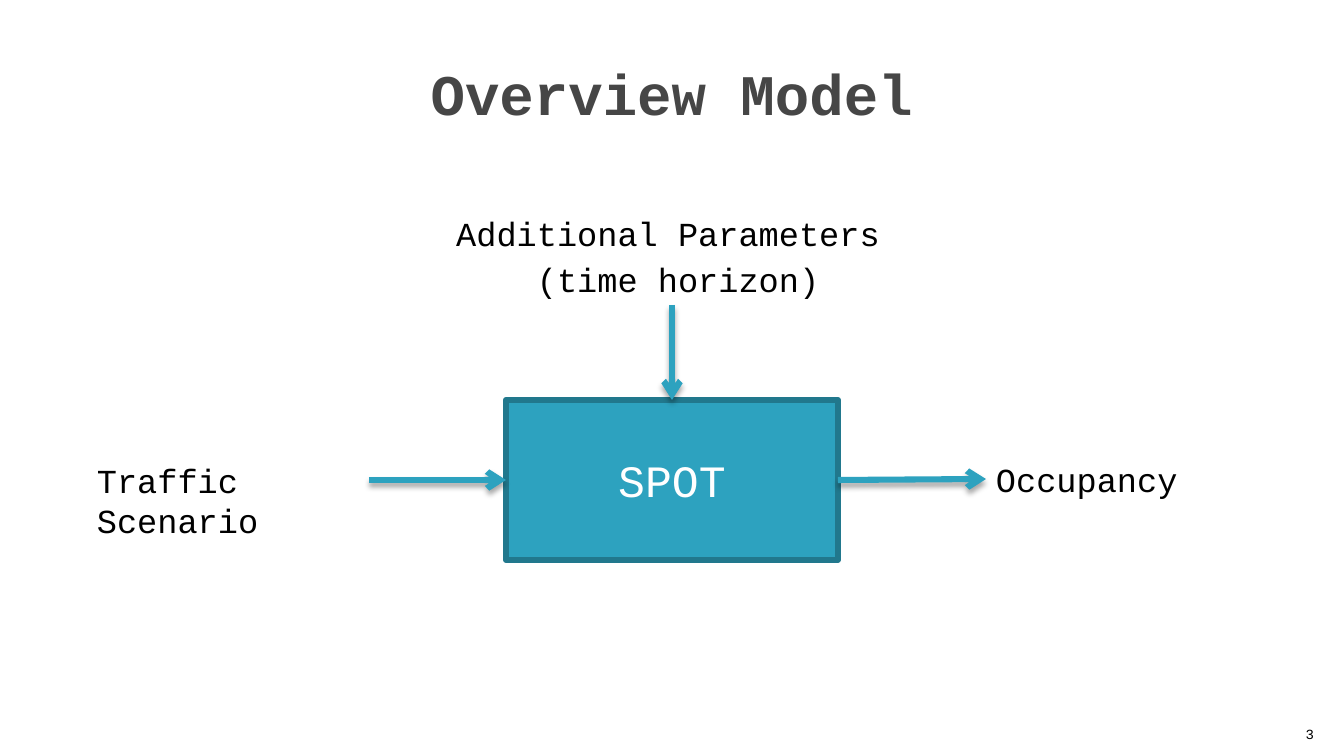
"""Build the Overview Model slide: inputs and output of the SPOT block."""
from dataclasses import dataclass

from lxml import etree
from pptx import Presentation
from pptx.dml.color import RGBColor
from pptx.enum.shapes import MSO_CONNECTOR, MSO_SHAPE
from pptx.enum.text import MSO_ANCHOR, MSO_AUTO_SIZE, PP_ALIGN
from pptx.oxml.ns import qn
from pptx.util import Pt

TITLE = "Overview Model"
PARAMETERS = ["Additional Parameters ", "(time horizon)"]
BLOCK = "SPOT"
SCENARIO = "Traffic Scenario"
OCCUPANCY = "Occupancy"
PAGE_NUMBER = "3"

BOXES = {
    "title": (67, 30, 1210, 126),
    "parameters": (371, 208, 602, 97),
    "block": (506, 400, 332, 160),
    "scenario": (87, 455, 282, 50),
    "occupancy": (986, 454, 221, 50),
    "page": (1271, 707, 53, 40),
}
SLIDE_SIZE = (1344, 756)
PARAMETERS_MARGIN = 12
EMU_PER_PX = 914400 / 100.8

LEFT, CENTER, RIGHT = PP_ALIGN.LEFT, PP_ALIGN.CENTER, PP_ALIGN.RIGHT
TOP, MIDDLE, BOTTOM = MSO_ANCHOR.TOP, MSO_ANCHOR.MIDDLE, MSO_ANCHOR.BOTTOM
NO_AUTOFIT = MSO_AUTO_SIZE.NONE
STRAIGHT = MSO_CONNECTOR.STRAIGHT
RECTANGLE = MSO_SHAPE.RECTANGLE
SIDE_TOP, SIDE_LEFT, SIDE_BOTTOM, SIDE_RIGHT = range(4)


@dataclass(frozen=True)
class Theme:
    font: str = "Courier New"
    title: str = "464646"
    text: str = "000000"
    inverse: str = "FFFFFF"
    accent: str = "2DA2BF"
    border: str = "21788D"
    title_size: int = 41
    block_size: int = 32
    label_size: int = 24
    page_size: int = 10
    line_width: float = 4.33


THEME = Theme()


def px(length):
    return round(length * EMU_PER_PX)


def place(shape, name):
    shape.left, shape.top, shape.width, shape.height = map(px, BOXES[name])


def write(shape, lines, size, color, align=LEFT, anchor=TOP, bold=False):
    frame = shape.text_frame
    frame.text = "\n".join(lines)
    frame.word_wrap = True
    frame.auto_size = NO_AUTOFIT
    frame.vertical_anchor = anchor
    for paragraph in frame.paragraphs:
        paragraph.alignment = align
        for run in paragraph.runs:
            run.font.name = THEME.font
            run.font.size = Pt(size)
            run.font.bold = bold
            run.font.color.rgb = RGBColor.from_string(color)


def add_label(slide, name, text, size, align=LEFT, anchor=TOP):
    label = slide.shapes.add_textbox(*map(px, BOXES[name]))
    write(label, [text], size, THEME.text, align, anchor)
    return label


def add_arrow(slide, source, source_side, target, target_side):
    arrow = slide.shapes.add_connector(STRAIGHT, 0, 0, 0, 0)
    arrow.begin_connect(source, source_side)
    arrow.end_connect(target, target_side)
    arrow.line.color.rgb = RGBColor.from_string(THEME.accent)
    arrow.line.width = Pt(THEME.line_width)
    etree.SubElement(arrow.line._get_or_add_ln(), qn("a:tailEnd"), type="arrow")
    effects = etree.SubElement(arrow._element.spPr, qn("a:effectLst"))
    shadow = etree.SubElement(
        effects, qn("a:outerShdw"), blurRad=str(Pt(4)), dist=str(Pt(3)),
        dir="5400000", rotWithShape="0")
    color = etree.SubElement(shadow, qn("a:srgbClr"), val=THEME.text)
    etree.SubElement(color, qn("a:alpha"), val="35000")


def fill_parameters(body):
    place(body, "parameters")
    write(body, PARAMETERS, THEME.label_size, THEME.text, CENTER)
    for index, paragraph in enumerate(body.text_frame.paragraphs):
        paragraph.space_before = Pt(4 if index else 0)
        properties = paragraph._p.get_or_add_pPr()
        properties.set("marL", str(px(PARAMETERS_MARGIN)))
        properties.set("indent", "0")
        etree.SubElement(properties, qn("a:buNone"))


def add_block(slide):
    block = slide.shapes.add_shape(RECTANGLE, *map(px, BOXES["block"]))
    block.shadow.inherit = False
    block.fill.solid()
    block.fill.fore_color.rgb = RGBColor.from_string(THEME.accent)
    block.line.color.rgb = RGBColor.from_string(THEME.border)
    block.line.width = Pt(THEME.line_width)
    write(block, [BLOCK], THEME.block_size, THEME.inverse, CENTER, MIDDLE)
    return block


def main():
    presentation = Presentation()
    presentation.slide_width, presentation.slide_height = map(px, SLIDE_SIZE)
    slide = presentation.slides.add_slide(presentation.slide_layouts[1])
    title, parameters = slide.placeholders
    place(title, "title")
    write(title, [TITLE], THEME.title_size, THEME.title, CENTER, MIDDLE, bold=True)
    fill_parameters(parameters)

    block = add_block(slide)
    scenario = add_label(slide, "scenario", SCENARIO, THEME.label_size)
    occupancy = add_label(slide, "occupancy", OCCUPANCY, THEME.label_size)
    add_label(slide, "page", PAGE_NUMBER, THEME.page_size, RIGHT, BOTTOM)

    add_arrow(slide, scenario, SIDE_RIGHT, block, SIDE_LEFT)
    add_arrow(slide, parameters, SIDE_BOTTOM, block, SIDE_TOP)
    add_arrow(slide, block, SIDE_RIGHT, occupancy, SIDE_LEFT)
    presentation.save("out.pptx")


if __name__ == "__main__":
    main()
